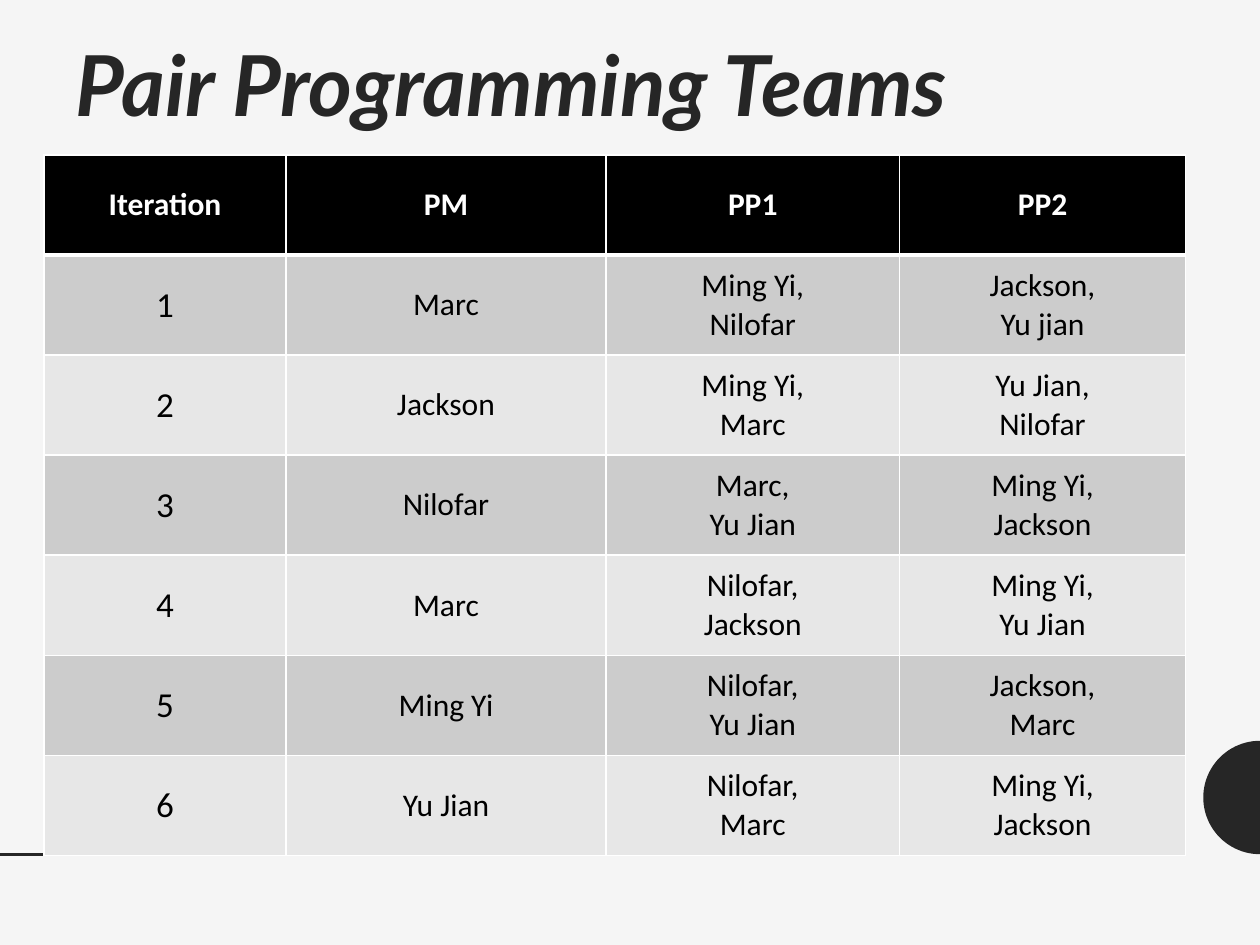
import math

from lxml import etree
from pptx import Presentation
from pptx.dml.color import RGBColor
from pptx.enum.shapes import MSO_CONNECTOR
from pptx.enum.text import MSO_ANCHOR, PP_ALIGN
from pptx.oxml.ns import qn
from pptx.util import Inches, Pt

STRAIGHT = MSO_CONNECTOR.STRAIGHT
TOP, MIDDLE = MSO_ANCHOR.TOP, MSO_ANCHOR.MIDDLE
LEFT, CENTER = PP_ALIGN.LEFT, PP_ALIGN.CENTER

PAPER = RGBColor(0xF5, 0xF5, 0xF5)
INK = RGBColor(0x26, 0x26, 0x26)
BLACK = RGBColor(0x00, 0x00, 0x00)
WHITE = RGBColor(0xFF, 0xFF, 0xFF)
DARK_BAND = RGBColor(0xCC, 0xCC, 0xCC)
LIGHT_BAND = RGBColor(0xE7, 0xE7, 0xE7)

HEADERS = ["Iteration", "PM", "PP1", "PP2"]
TEAMS = [
    ["1", "Marc", "Ming Yi,\nNilofar", "Jackson,\nYu jian"],
    ["2", "Jackson", "Ming Yi,\nMarc", "Yu Jian,\nNilofar"],
    ["3", "Nilofar", "Marc,\nYu Jian", "Ming Yi,\nJackson"],
    ["4", "Marc", "Nilofar,\nJackson", "Ming Yi,\nYu Jian"],
    ["5", "Ming Yi", "Nilofar,\nYu Jian", "Jackson,\nMarc"],
    ["6", "Yu Jian", "Nilofar,\nMarc", "Ming Yi,\nJackson"],
]
COLUMN_WIDTHS = [1.92, 2.54, 2.33, 2.27]
TABLE_HEIGHT = 5.56


def write_text(frame, text, size, color, font="Calibri", bold=False,
               italic=False, align=CENTER, spacing=None):
    """Fill a text frame with one paragraph per line of text."""
    for index, line in enumerate(text.split("\n")):
        para = frame.add_paragraph() if index else frame.paragraphs[0]
        para.alignment = align
        if spacing:
            para.line_spacing = spacing
        span = para.add_run()
        span.text = line
        span.font.name = font
        span.font.size = Pt(size)
        span.font.bold = bold
        span.font.italic = italic
        span.font.color.rgb = color


def set_borders(cell, color, bottom_width):
    """Draw 1 pt borders round a cell, with its own width at the bottom."""
    properties = cell._tc.get_or_add_tcPr()
    widths = {"a:lnL": 1, "a:lnR": 1, "a:lnT": 1, "a:lnB": bottom_width}
    for index, (tag, width) in enumerate(widths.items()):
        border = etree.Element(qn(tag), w=str(Pt(width)))
        fill = etree.SubElement(border, qn("a:solidFill"))
        etree.SubElement(fill, qn("a:srgbClr"), val=str(color))
        properties.insert(index, border)


deck = Presentation()
deck.slide_width, deck.slide_height = Inches(10), Inches(7.5)
page = deck.slides.add_slide(deck.slide_layouts[6])
page.background.fill.solid()
page.background.fill.fore_color.rgb = PAPER

# Half disc at the right edge
center_x, center_y, radius, steps = 10, 6.33, 0.45, 48
arc = []
for step in range(steps + 1):
    angle = math.pi * step / steps
    arc.append((Inches(center_x - radius * math.sin(angle)),
                Inches(center_y - radius * math.cos(angle))))
builder = page.shapes.build_freeform(*arc[0])
builder.add_line_segments(arc[1:], close=True)
half_disc = builder.convert_to_shape()
half_disc.shadow.inherit = False
half_disc.fill.solid()
half_disc.fill.fore_color.rgb = INK
half_disc.line.fill.background()

# Rule at the left edge
rule = page.shapes.add_connector(
    STRAIGHT, Inches(0), Inches(6.78), Inches(3.69), Inches(6.78))
rule.line.color.rgb = INK
rule.line.width = Pt(2)
etree.SubElement(rule._element.spPr, qn("a:effectLst"))

# Team table
rows = [HEADERS] + TEAMS
table = page.shapes.add_table(
    len(rows), len(HEADERS), Inches(0.35), Inches(1.23),
    Inches(sum(COLUMN_WIDTHS)), Inches(TABLE_HEIGHT)).table
for column, width in zip(table.columns, COLUMN_WIDTHS):
    column.width = Inches(width)
for row_index, row in enumerate(rows):
    table.rows[row_index].height = Inches(TABLE_HEIGHT / len(rows))
    is_header = row_index == 0
    band = DARK_BAND if row_index % 2 else LIGHT_BAND
    for column_index, text in enumerate(row):
        cell = table.cell(row_index, column_index)
        cell.vertical_anchor = MIDDLE
        cell.fill.solid()
        cell.fill.fore_color.rgb = BLACK if is_header else band
        if is_header:
            cell.margin_left = cell.margin_right = Inches(0)
            cell.margin_top = cell.margin_bottom = Inches(0)
        set_borders(cell, WHITE, bottom_width=3 if is_header else 1)
        write_text(cell.text_frame, text,
                   size=20 if column_index == 0 and not is_header else 18,
                   color=WHITE if is_header else BLACK, bold=is_header)

# Title
title = page.shapes.add_textbox(
    Inches(0.5), Inches(0.3), Inches(8.17), Inches(0.54))
title.text_frame.word_wrap = True
title.text_frame.vertical_anchor = TOP
write_text(title.text_frame, "Pair Programming Teams", size=48, color=INK,
           font="Lato", bold=True, italic=True, align=LEFT, spacing=0.9)

deck.save("out.pptx")
